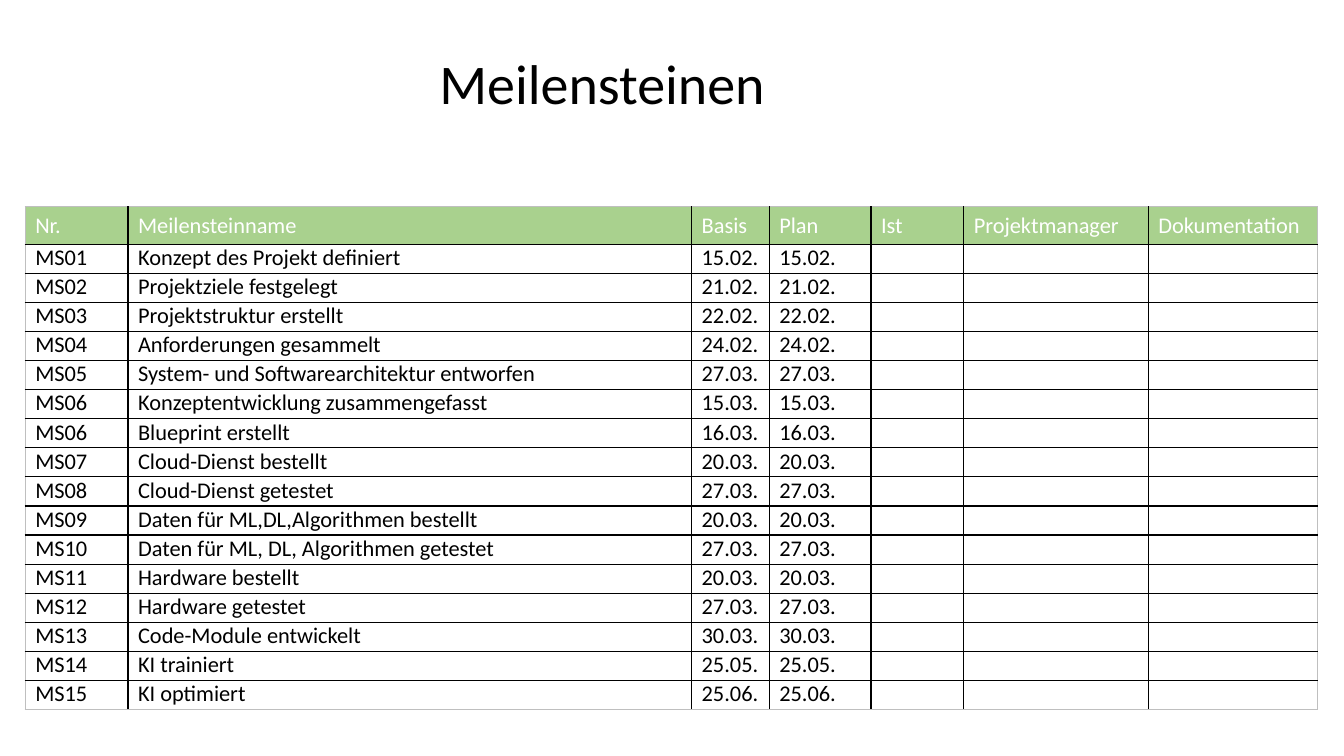
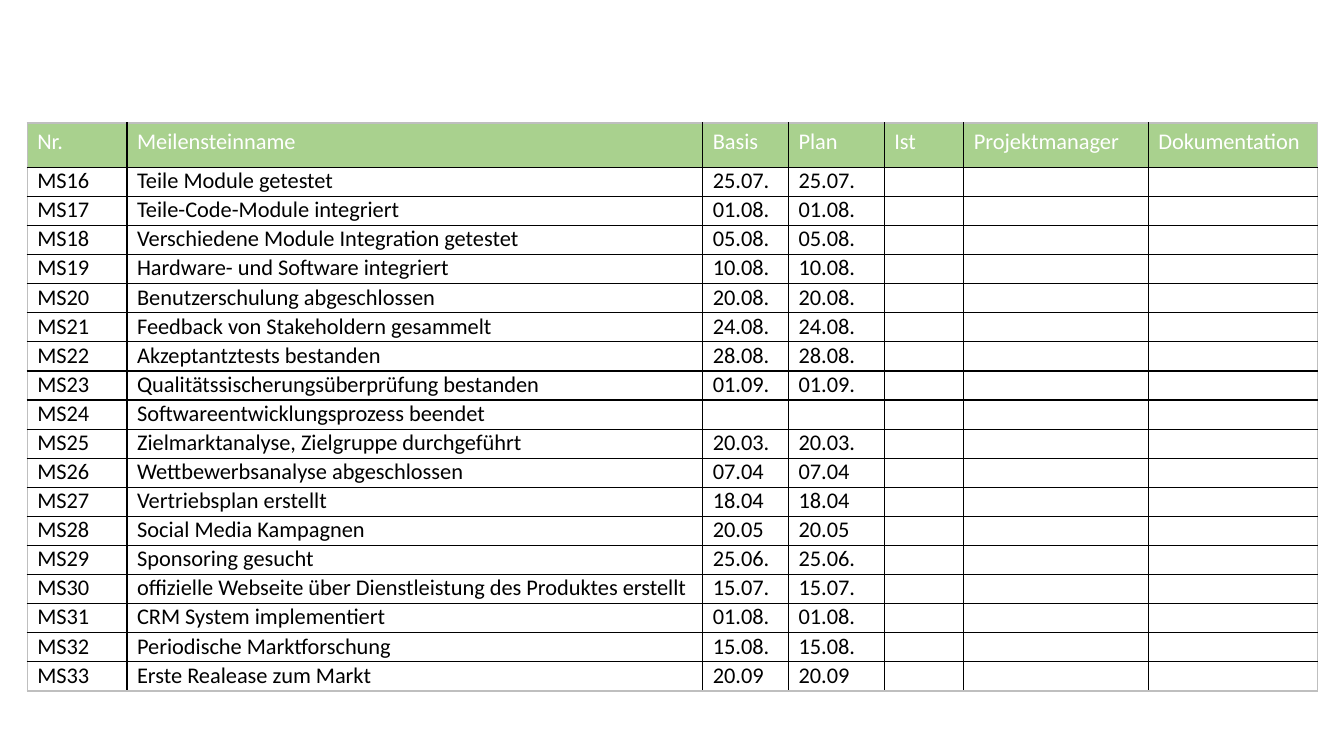
"""Build two milestone table slides with a shared table style."""
from typing import NamedTuple

from lxml.etree import SubElement
from pptx import Presentation
from pptx.dml.color import RGBColor
from pptx.enum.text import MSO_AUTO_SIZE as AutoSize
from pptx.oxml import parse_xml
from pptx.oxml.ns import nsdecls, qn
from pptx.util import Inches, Pt

GREEN = RGBColor(0xA9, 0xD1, 0x8E)
WHITE = RGBColor(0xFF, 0xFF, 0xFF)
BLACK = RGBColor(0x00, 0x00, 0x00)
GREY = RGBColor(0xBF, 0xBF, 0xBF)
FONT = "Calibri"
TITLE_SIZE = Pt(40)
TABLE_SIZE = Pt(16)
BORDER_WIDTH = Pt(1)
HEADERS = ("Nr.", "Meilensteinname", "Basis", "Plan", "Ist", "Projektmanager", "Dokumentation")


class Milestone(NamedTuple):
    number: str
    name: str
    date: str


class MilestoneTable(NamedTuple):
    left: float
    top: float
    height: float
    header_height: float
    widths: tuple[float, ...]
    milestones: tuple[Milestone, ...]


FIRST_TABLE = MilestoneTable(
    0.25, 2.05, 4.99, 0.37, (1.02, 5.59, 0.77, 1.01, 0.92, 1.83, 1.68),
    (
        Milestone("MS01", "Konzept des Projekt definiert", "15.02."),
        Milestone("MS02", "Projektziele festgelegt", "21.02."),
        Milestone("MS03", "Projektstruktur erstellt", "22.02."),
        Milestone("MS04", "Anforderungen gesammelt", "24.02."),
        Milestone("MS05", "System- und Softwarearchitektur entworfen", "27.03."),
        Milestone("MS06", "Konzeptentwicklung zusammengefasst", "15.03."),
        Milestone("MS06", "Blueprint erstellt", "16.03."),
        Milestone("MS07", "Cloud-Dienst bestellt", "20.03."),
        Milestone("MS08", "Cloud-Dienst getestet", "27.03."),
        Milestone("MS09", "Daten für ML,DL,Algorithmen bestellt", "20.03."),
        Milestone("MS10", "Daten für ML, DL, Algorithmen getestet", "27.03."),
        Milestone("MS11", "Hardware bestellt", "20.03."),
        Milestone("MS12", "Hardware getestet", "27.03."),
        Milestone("MS13", "Code-Module entwickelt", "30.03."),
        Milestone("MS14", "KI trainiert", "25.05."),
        Milestone("MS15", "KI optimiert", "25.06."),
    ),
)
SECOND_TABLE = MilestoneTable(
    0.27, 1.22, 5.64, 0.44, (0.99, 5.71, 0.85, 0.95, 0.79, 1.83, 1.68),
    (
        Milestone("MS16", "Teile Module getestet", "25.07."),
        Milestone("MS17", "Teile-Code-Module integriert", "01.08."),
        Milestone("MS18", "Verschiedene Module Integration getestet", "05.08."),
        Milestone("MS19", "Hardware- und Software integriert", "10.08."),
        Milestone("MS20", "Benutzerschulung abgeschlossen", "20.08."),
        Milestone("MS21", "Feedback von Stakeholdern gesammelt", "24.08."),
        Milestone("MS22", "Akzeptantztests bestanden", "28.08."),
        Milestone("MS23", "Qualitätssischerungsüberprüfung bestanden", "01.09."),
        Milestone("MS24", "Softwareentwicklungsprozess beendet", ""),
        Milestone("MS25", "Zielmarktanalyse, Zielgruppe durchgeführt", "20.03."),
        Milestone("MS26", "Wettbewerbsanalyse abgeschlossen", "07.04"),
        Milestone("MS27", "Vertriebsplan erstellt", "18.04"),
        Milestone("MS28", "Social Media Kampagnen", "20.05"),
        Milestone("MS29", "Sponsoring gesucht", "25.06."),
        Milestone("MS30", "offizielle Webseite über Dienstleistung des Produktes erstellt", "15.07."),
        Milestone("MS31", "CRM System implementiert", "01.08."),
        Milestone("MS32", "Periodische Marktforschung", "15.08."),
        Milestone("MS33", "Erste Realease zum Markt", "20.09"),
    ),
)


def format_runs(paragraph, size: Pt, color: RGBColor) -> None:
    for run in paragraph.runs:
        run.font.name = FONT
        run.font.size = size
        run.font.color.rgb = color


def set_borders(cell, outer: dict[str, bool]) -> None:
    properties = cell._tc.get_or_add_tcPr()
    for index, (side, is_outer) in enumerate(outer.items()):
        color = GREY if is_outer else BLACK
        properties.insert(index, parse_xml(
            f'<a:ln{side} {nsdecls("a")} w="{BORDER_WIDTH}"><a:solidFill>'
            f'<a:srgbClr val="{color}"/></a:solidFill></a:ln{side}>'))


def fill_cell(cell, text: str, is_header: bool) -> None:
    cell.fill.solid()
    cell.fill.fore_color.rgb = GREEN if is_header else WHITE
    cell.margin_left = cell.margin_right = Inches(0.1)
    cell.margin_top = cell.margin_bottom = Inches(0.05 if is_header else 0)
    paragraph = cell.text_frame.paragraphs[0]
    if text:
        paragraph.text = text
        format_runs(paragraph, TABLE_SIZE, WHITE if is_header else BLACK)
    else:
        SubElement(paragraph._p, qn("a:endParaRPr"), sz=str(int(TABLE_SIZE.pt * 100)))


def add_milestone_table(slide, layout: MilestoneTable) -> None:
    rows = [HEADERS] + [(number, name, date, date, "", "", "")
                        for number, name, date in layout.milestones]
    table = slide.shapes.add_table(
        len(rows), len(HEADERS), Inches(layout.left), Inches(layout.top),
        Inches(sum(layout.widths)), Inches(layout.height)).table
    table.horz_banding = False
    for column, width in zip(table.columns, layout.widths):
        column.width = Inches(width)
    body_height = (layout.height - layout.header_height) / len(layout.milestones)
    for row_index, texts in enumerate(rows):
        is_header = row_index == 0
        table.rows[row_index].height = Inches(layout.header_height if is_header else body_height)
        for column_index, text in enumerate(texts):
            cell = table.cell(row_index, column_index)
            fill_cell(cell, text, is_header)
            set_borders(cell, {
                "L": column_index == 0,
                "R": column_index == len(HEADERS) - 1,
                "T": is_header,
                "B": row_index == len(rows) - 1,
            })


def add_title(slide, text: str) -> None:
    text_frame = slide.shapes.add_textbox(
        Inches(4.26), Inches(0.43), Inches(8.9), Inches(0.77)).text_frame
    text_frame.word_wrap = True
    text_frame.auto_size = AutoSize.SHAPE_TO_FIT_TEXT
    text_frame.text = text
    format_runs(text_frame.paragraphs[0], TITLE_SIZE, BLACK)


def main() -> None:
    presentation = Presentation()
    presentation.slide_width = Inches(13.33)
    presentation.slide_height = Inches(7.5)
    blank = presentation.slide_layouts[6]
    first_slide, second_slide = (presentation.slides.add_slide(blank) for _ in range(2))
    add_milestone_table(first_slide, FIRST_TABLE)
    add_title(first_slide, "Meilensteinen")
    add_milestone_table(second_slide, SECOND_TABLE)
    presentation.save("out.pptx")


main()
